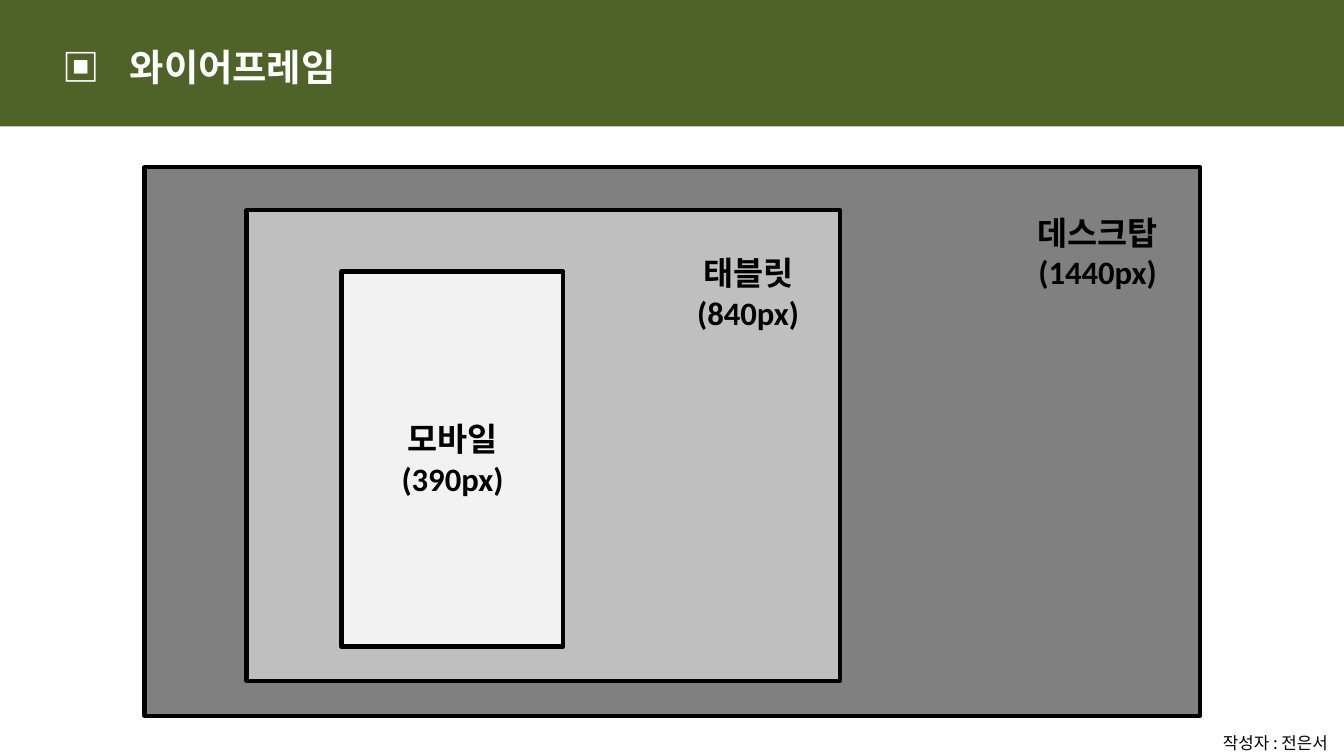
from dataclasses import dataclass

from lxml import etree
from pptx import Presentation
from pptx.dml.color import RGBColor
from pptx.enum import shapes, text
from pptx.oxml import ns
from pptx.util import Pt


@dataclass(frozen=True)
class Theme:
    band: str = "4F6228"
    title: str = "FFFFFF"
    ink: str = "000000"
    korean_font: str = "Noto Sans CJK KR"
    label_font: str = "Calibri"
    title_size: float = 40
    label_size: float = 35
    author_size: float = 18
    outline: float = 4.5


THEME = Theme()
TITLE_TAB = 60

# Screen name, width in px, fill, frame (left, top, width, height), label box
SCREENS = [
    ("데스크탑", 1440, "808080", (154.8, 179.3, 1131.1, 587.5), (1098, 224.6, 156.2, 92.2)),
    ("태블릿", 840, "BFBFBF", (264.2, 225.4, 635.8, 504), (739.4, 267.8, 124.6, 92.2)),
    ("모바일", 390, "F2F2F2", (365.8, 290.9, 237.6, 401.8), (422.6, 445.7, 124.6, 92.2)),
]


def place(box, frame):
    box.left, box.top, box.width, box.height = map(Pt, frame)


def add_rectangle(page, frame, fill, outlined=True):
    box = page.shapes.add_shape(shapes.MSO_SHAPE.RECTANGLE, *map(Pt, frame))
    box.shadow.inherit = False
    box.fill.solid()
    box.fill.fore_color.rgb = RGBColor.from_string(fill)
    if outlined:
        box.line.color.rgb = RGBColor.from_string(THEME.ink)
        box.line.width = Pt(THEME.outline)
    else:
        box.line.fill.background()
    return box


def write(box, content, font, size, color, bold, align, wrap=False):
    frame = box.text_frame
    frame.text = content
    frame.word_wrap = wrap
    frame.auto_size = text.MSO_AUTO_SIZE.SHAPE_TO_FIT_TEXT
    frame.vertical_anchor = text.MSO_ANCHOR.TOP
    for para in frame.paragraphs:
        para.alignment = align
        for span in para.runs:
            span.font.name = font
            span.font.size = Pt(size)
            span.font.bold = bold
            span.font.color.rgb = RGBColor.from_string(color)
            # Hangul takes the East Asian typeface
            east_asian = etree.SubElement(span.font._element, ns.qn("a:ea"))
            east_asian.set("typeface", font)


def add_header(page):
    band = add_rectangle(page, (-6, 0, 1458, 135.4), THEME.band, outlined=False)
    title = page.shapes.title
    place(title, (59.8, 43.9, 326.2, 47.5))
    band.element.addnext(title.element)
    # The tab stop sets the gap after the square mark
    properties = title.text_frame.paragraphs[0]._p.get_or_add_pPr()
    stops = etree.SubElement(properties, ns.qn("a:tabLst"))
    etree.SubElement(stops, ns.qn("a:tab"), pos=str(Pt(TITLE_TAB)), algn="l")
    write(title, "▣\t와이어프레임", THEME.korean_font, THEME.title_size,
          THEME.title, True, text.PP_ALIGN.LEFT, wrap=True)


def add_label(page, content, frame, font, size, bold, align):
    box = page.shapes.add_textbox(*map(Pt, frame))
    write(box, content, font, size, THEME.ink, bold, align)


def main():
    deck = Presentation()
    deck.slide_width, deck.slide_height = Pt(1440), Pt(810)
    page = deck.slides.add_slide(deck.slide_layouts[5])

    # Header and author
    add_header(page)
    add_label(page, "작성자 : 전은서", (1303.2, 781.2, 136.8, 28.8),
              THEME.korean_font, THEME.author_size, False, text.PP_ALIGN.LEFT)

    # Nested screens, largest at the back
    for name, pixels, fill, frame, label_frame in SCREENS:
        add_rectangle(page, frame, fill)
        add_label(page, f"{name}\n({pixels}px)", label_frame,
                  THEME.label_font, THEME.label_size, True, text.PP_ALIGN.CENTER)

    deck.save("out.pptx")


if __name__ == "__main__":
    main()
